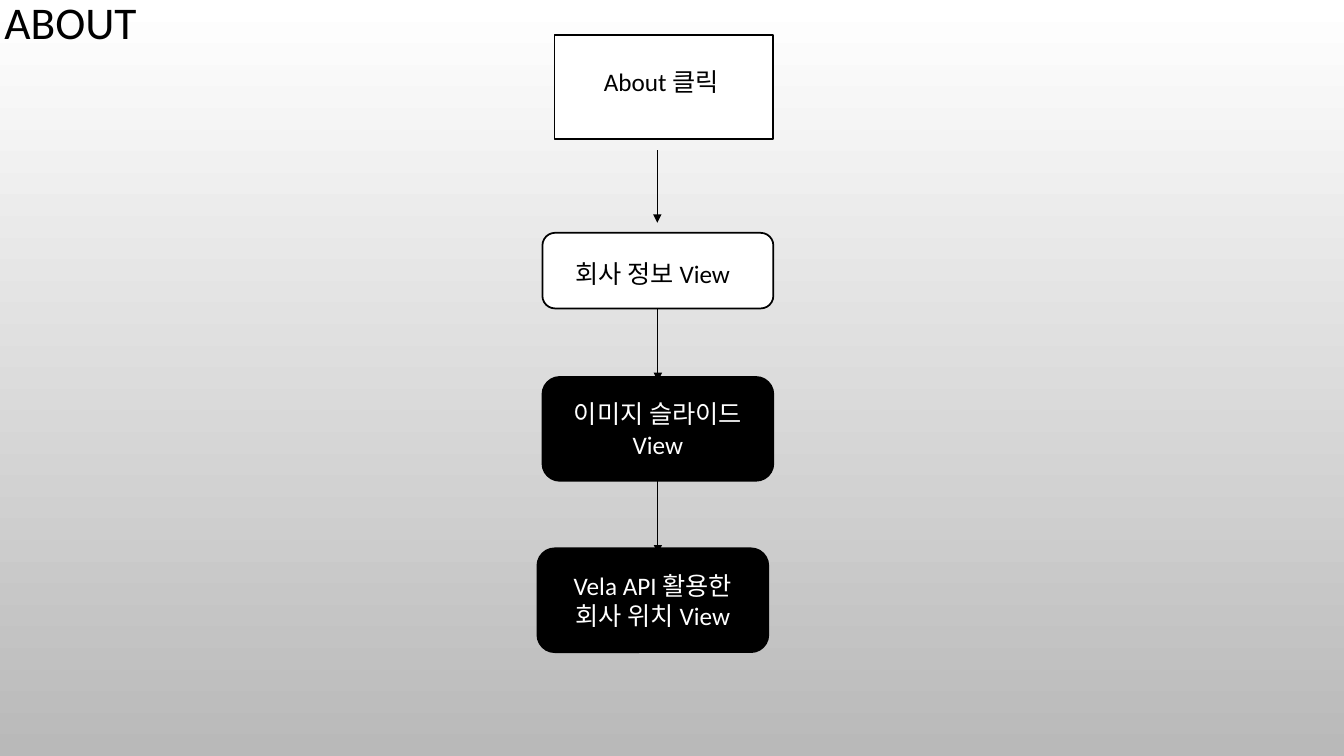
from lxml.etree import SubElement
from pptx import Presentation
from pptx.dml.color import RGBColor
from pptx.enum.shapes import MSO_CONNECTOR, MSO_SHAPE
from pptx.enum.text import MSO_ANCHOR, PP_ALIGN
from pptx.oxml.ns import qn
from pptx.util import Inches, Pt

BLACK, WHITE, GRAY = "000000", "FFFFFF", "B9B9B9"
FONT = "Calibri"
ARROW_X, ARROW_LEN = 6.52, 0.72


def color(code):
    return RGBColor.from_string(code)


def lengths(box):
    return [Inches(value) for value in box]


def paint_back(slide):
    fill = slide.background.fill
    fill.gradient()
    fill.gradient_angle = 270
    for stop, code in zip(fill.gradient_stops, (WHITE, GRAY)):
        stop.color.rgb = color(code)


def write(shape, text, ink, size=18, align=PP_ALIGN.LEFT, anchor=MSO_ANCHOR.TOP):
    frame = shape.text_frame
    frame.word_wrap = True
    frame.vertical_anchor = anchor
    para = frame.paragraphs[0]
    para.alignment = align
    run = para.add_run()
    run.text = text
    run.font.name = FONT
    run.font.size = Pt(size)
    run.font.color.rgb = color(ink)
    return para


def add_label(slide, box, text):
    write(slide.shapes.add_textbox(*lengths(box)), text, BLACK)


def add_title(slide, box, text):
    label = slide.shapes.add_textbox(*lengths(box))
    para = write(label, text, BLACK, 32.4, PP_ALIGN.CENTER, MSO_ANCHOR.MIDDLE)
    para.line_spacing = 0.9


def add_step(slide, box, fill, kind=MSO_SHAPE.ROUNDED_RECTANGLE):
    step = slide.shapes.add_shape(kind, *lengths(box))
    step.shadow.inherit = False
    step.fill.solid()
    step.fill.fore_color.rgb = color(fill)
    step.line.color.rgb = color(BLACK)
    step.line.width = Pt(1.25)
    return step


def add_view(slide, box, text):
    """Black step with its own centred text."""
    view = add_step(slide, box, BLACK)
    write(view, text, WHITE, align=PP_ALIGN.CENTER, anchor=MSO_ANCHOR.MIDDLE)
    return view


def add_arrow(slide, top, source=None):
    """Downward arrow, joined to the bottom of source if there is one."""
    arrow = slide.shapes.add_connector(
        MSO_CONNECTOR.STRAIGHT,
        *lengths((ARROW_X, top, ARROW_X, top + ARROW_LEN)))
    if source is not None:
        arrow.begin_connect(source, 2)
        arrow.end_x = arrow.begin_x
    arrow.line.color.rgb = color(BLACK)
    arrow.line.width = Pt(0.75)
    SubElement(arrow.line._get_or_add_ln(), qn("a:tailEnd"), type="triangle")
    SubElement(arrow._element.spPr, qn("a:effectLst"))


def add_flow(slide, left, top):
    """Four steps from the click down to the map view."""
    add_step(slide, (left + 0.12, top, 2.17, 1.03), WHITE, MSO_SHAPE.RECTANGLE)
    add_label(slide, (left + 0.51, top + 0.26, 1.39, 0.4), "About 클릭")
    info = add_step(slide, (left, top + 1.96, 2.29, 0.75), WHITE)
    add_label(slide, (left + 0.23, top + 2.16, 1.94, 0.4), "회사 정보 View")
    images = add_view(slide, (left, top + 3.39, 2.29, 1.03), "이미지 슬라이드 View")
    add_view(slide, (left - 0.05, top + 5.09, 2.29, 1.03),
             "Vela API 활용한 회사 위치 View")
    add_arrow(slide, top + 1.14)
    add_arrow(slide, top + 2.71, info)
    add_arrow(slide, top + 4.42, images)


def main():
    deck = Presentation()
    deck.slide_width, deck.slide_height = Inches(13.33), Inches(7.5)
    slide = deck.slides.add_slide(deck.slide_layouts[6])
    paint_back(slide)
    add_title(slide, (-0.17, 0, 1.74, 0.5), "ABOUT")
    add_flow(slide, 5.38, 0.35)
    deck.save("out.pptx")


if __name__ == "__main__":
    main()
